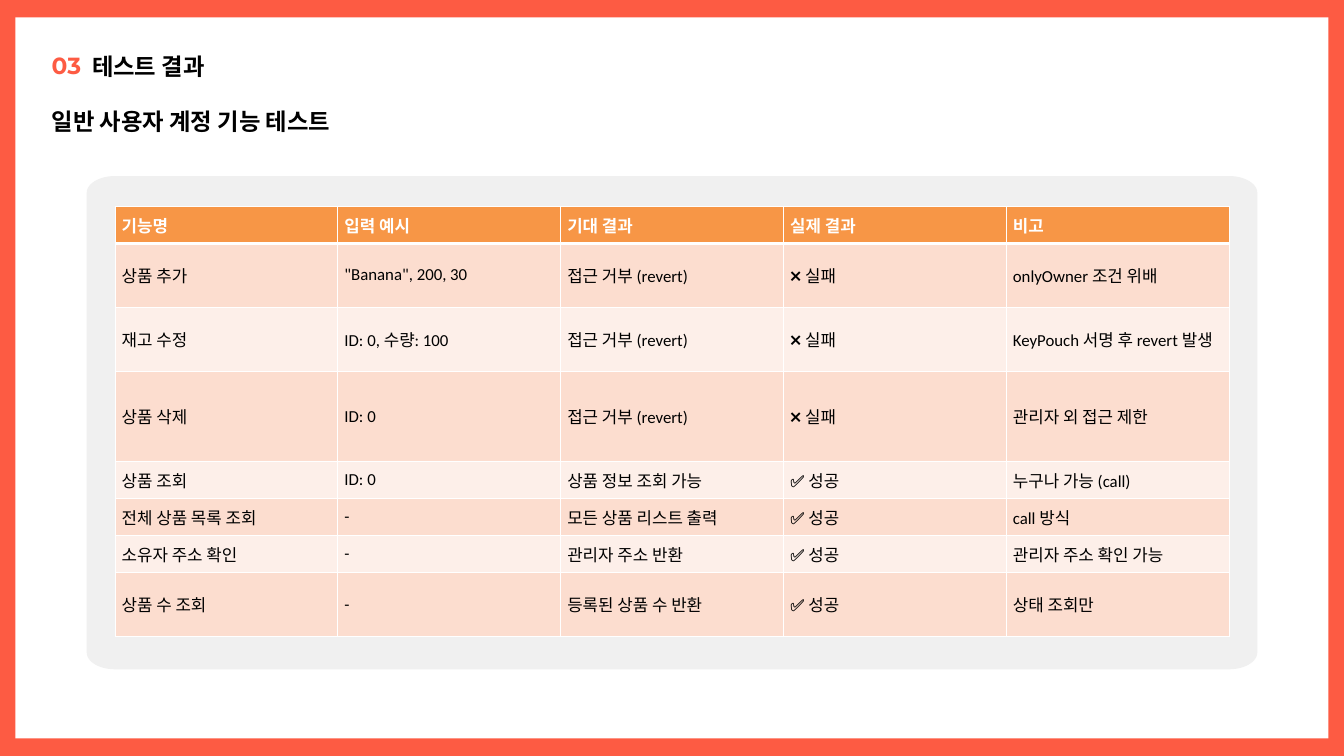
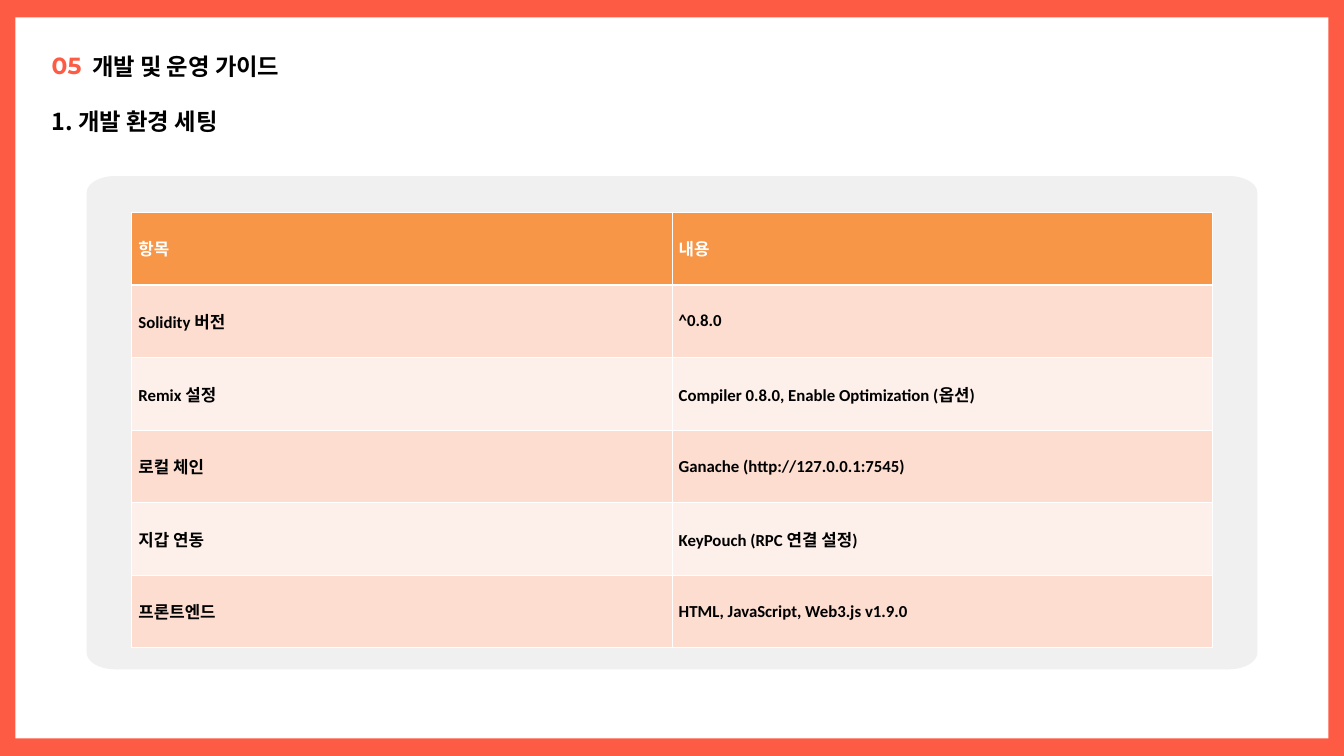
from dataclasses import dataclass
from math import cos, pi, sin

from lxml.etree import SubElement
from pptx import Presentation
from pptx.dml.color import RGBColor as Rgb
from pptx.enum.shapes import MSO_SHAPE as Preset
from pptx.enum.text import MSO_ANCHOR as Anchor, MSO_AUTO_SIZE as AutoSize, PP_ALIGN as Align
from pptx.oxml.ns import qn
from pptx.util import Inches, Pt

COLUMNS, ROWS = 20, 11.25


@dataclass(frozen=True)
class Theme:
    accent: str = "FD5B43"
    paper: str = "FFFFFF"
    panel: str = "F0F0F0"
    ink: str = "000000"
    header: str = "F79646"
    bands: tuple = ("FCDDCF", "FDEFE9")
    heading_font: str = "Noto Sans CJK SC"
    number_font: str = "Montserrat"
    table_font: str = "Calibri"
    heading_size: int = 25
    heading_leading: int = 35
    table_size: int = 18
    rule: int = 1
    header_rule: int = 3


THEME = Theme()

TEST_ROWS = [
    ("기능명", "입력 예시", "기대 결과", "실제 결과", "비고"),
    ("상품 추가", '"Banana", 200, 30', "접근 거부 (revert)", "❌ 실패", "onlyOwner 조건 위배"),
    ("재고 수정", "ID: 0, 수량: 100", "접근 거부 (revert)", "❌ 실패", "KeyPouch 서명 후 revert 발생"),
    ("상품 삭제", "ID: 0", "접근 거부 (revert)", "❌ 실패", "관리자 외 접근 제한"),
    ("상품 조회", "ID: 0", "상품 정보 조회 가능", "✅ 성공", "누구나 가능 (call)"),
    ("전체 상품 목록 조회", "-", "모든 상품 리스트 출력", "✅ 성공", "call 방식"),
    ("소유자 주소 확인", "-", "관리자 주소 반환", "✅ 성공", "관리자 주소 확인 가능"),
    ("상품 수 조회", "-", "등록된 상품 수 반환", "✅ 성공", "상태 조회만"),
]
TEST_HEIGHTS = [0.55, 0.95, 0.95, 1.35, 0.55, 0.55, 0.55, 0.95]

SETUP_ROWS = [
    ("항목", "내용"),
    ("Solidity 버전", "^0.8.0"),
    ("Remix 설정", "Compiler 0.8.0, Enable Optimization (옵션)"),
    ("로컬 체인", "Ganache (http://127.0.0.1:7545)"),
    ("지갑 연동", "KeyPouch (RPC 연결 설정)"),
    ("프론트엔드", "HTML, JavaScript, Web3.js v1.9.0"),
]
SETUP_HEIGHTS = [1.08] * len(SETUP_ROWS)


def grid(*units):
    return [Inches(unit) for unit in units]


def paint(shape, color):
    shape.shadow.inherit = False
    shape.fill.solid()
    shape.fill.fore_color.rgb = Rgb.from_string(color)
    shape.line.fill.background()


def style_text(paragraph, font_name, size, color, bold):
    for run in paragraph.runs:
        run.font.size = Pt(size)
        run.font.bold = bold
        run.font.color.rgb = Rgb.from_string(color)
        run.font.name = font_name


def add_frame(slide):
    slide.background.fill.solid()
    slide.background.fill.fore_color.rgb = Rgb.from_string(THEME.accent)
    margin_x, margin_y = 0.23, 0.26
    frame = slide.shapes.add_shape(
        Preset.RECTANGLE,
        *grid(margin_x, margin_y, COLUMNS - 2 * margin_x, ROWS - 2 * margin_y))
    paint(frame, THEME.paper)
    slide.shapes.element.insert(2, frame.element)


def add_panel(slide):
    left, top, bottom = 1.29, 2.62, 9.96
    right = COLUMNS - left
    radius_x, radius_y, steps = 0.42, 0.25, 12
    centres = [(right - radius_x, bottom - radius_y), (left + radius_x, bottom - radius_y),
               (left + radius_x, top + radius_y), (right - radius_x, top + radius_y)]
    outline = []
    for quarter, (x, y) in enumerate(centres):
        for step in range(steps + 1):
            angle = (quarter + step / steps) * pi / 2
            outline.append(grid(x + radius_x * cos(angle), y + radius_y * sin(angle)))
    builder = slide.shapes.build_freeform(*outline[0])
    builder.add_line_segments(outline[1:], close=True)
    paint(builder.convert_to_shape(), THEME.panel)


def write_heading(box, place, text, font_name, color):
    box.left, box.top, box.width, box.height = grid(*place)
    frame = box.text_frame
    frame.text = text
    frame.word_wrap = True
    frame.auto_size = AutoSize.SHAPE_TO_FIT_TEXT
    frame.vertical_anchor = Anchor.TOP
    frame.margin_left = frame.margin_right = frame.margin_top = frame.margin_bottom = 0
    paragraph = frame.paragraphs[0]
    paragraph.alignment = Align.LEFT
    paragraph.line_spacing = Pt(THEME.heading_leading)
    paragraph.space_before = Pt(0)
    properties = paragraph._p.get_or_add_pPr()
    properties.set("marL", "0")
    properties.set("indent", "0")
    SubElement(properties, qn("a:buNone"))
    style_text(paragraph, font_name, THEME.heading_size, color, True)
    for run in paragraph.runs:
        SubElement(run.font._element, qn("a:ea"), typeface=font_name)


def add_headings(slide, number, section, topic):
    number_box = slide.shapes.add_textbox(0, 0, 0, 0)
    subtitle = slide.placeholders[1]
    write_heading(slide.shapes.title, (1.37, 0.7, 4.13, 0.46), section, THEME.heading_font, THEME.ink)
    write_heading(number_box, (0.77, 0.69, 0.6, 0.45), number, THEME.number_font, THEME.accent)
    write_heading(subtitle, (0.77, 1.52, 4.73, 0.46), topic, THEME.heading_font, THEME.ink)


def add_borders(cell, top, bottom):
    properties = cell._tc.get_or_add_tcPr()
    widths = {"a:lnL": THEME.rule, "a:lnR": THEME.rule, "a:lnT": top, "a:lnB": bottom}
    for side, width in widths.items():
        line = SubElement(properties, qn(side), w=str(Pt(width)))
        fill = SubElement(line, qn("a:solidFill"))
        SubElement(fill, qn("a:srgbClr"), val=THEME.paper)


def fill_cell(cell, text, row, bold):
    is_header = row == 0
    add_borders(cell,
                top=THEME.header_rule if row == 1 else THEME.rule,
                bottom=THEME.header_rule if is_header else THEME.rule)
    cell.fill.solid()
    fill = THEME.header if is_header else THEME.bands[(row - 1) % 2]
    cell.fill.fore_color.rgb = Rgb.from_string(fill)
    cell.vertical_anchor = Anchor.MIDDLE
    cell.text_frame.text = text
    style_text(cell.text_frame.paragraphs[0], THEME.table_font, THEME.table_size,
               THEME.paper if is_header else THEME.ink, is_header or bold)


def add_grid_table(slide, entries, heights, top, width, bold):
    left = (COLUMNS - width) / 2
    table = slide.shapes.add_table(
        len(entries), len(entries[0]), *grid(left, top, width, sum(heights))).table
    for column in table.columns:
        column.width = Inches(width / len(entries[0]))
    for row, (entry, height) in enumerate(zip(entries, heights)):
        table.rows[row].height = Inches(height)
        for column, text in enumerate(entry):
            fill_cell(table.cell(row, column), text, row, bold)


def add_section_slide(deck, number, section, topic):
    slide = deck.slides.add_slide(deck.slide_layouts[1])
    add_frame(slide)
    add_headings(slide, number, section, topic)
    add_panel(slide)
    return slide


def main():
    deck = Presentation()
    deck.slide_width, deck.slide_height = grid(COLUMNS, ROWS)
    results = add_section_slide(deck, "03", "테스트 결과", "일반 사용자 계정 기능 테스트")
    add_grid_table(results, TEST_ROWS, TEST_HEIGHTS, top=3.07, width=16.58, bold=False)
    guide = add_section_slide(deck, "05", "개발 및 운영 가이드", "1. 개발 환경 세팅")
    add_grid_table(guide, SETUP_ROWS, SETUP_HEIGHTS, top=3.16, width=16.08, bold=True)
    deck.save("out.pptx")


if __name__ == "__main__":
    main()
